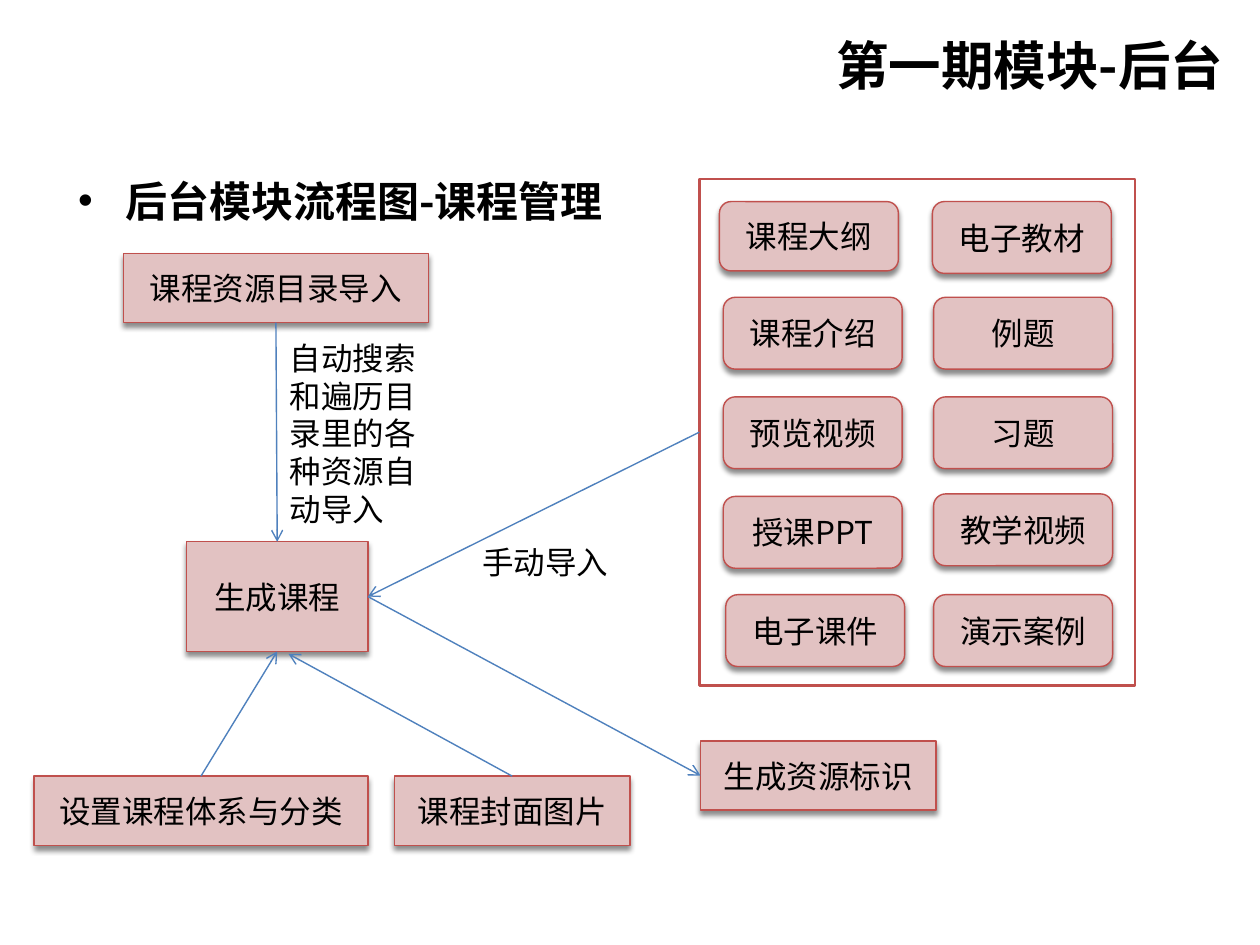
from lxml import etree
from pptx import Presentation
from pptx.dml.color import RGBColor
from pptx.enum import shapes, text
from pptx.oxml import ns
from pptx.util import Inches, Pt

FONT = "Noto Sans CJK SC"
BLACK = RGBColor(0x00, 0x00, 0x00)
WHITE = RGBColor(0xFF, 0xFF, 0xFF)
RED = RGBColor(0xC0, 0x50, 0x4D)
PINK = RGBColor(0xE2, 0xC2, 0xC2)
BLUE = RGBColor(0x4F, 0x81, 0xBD)
THIN = Pt(0.79)

PROCESS = shapes.MSO_SHAPE.FLOWCHART_PROCESS
ROUNDED = shapes.MSO_SHAPE.FLOWCHART_ALTERNATE_PROCESS
TOP, LEFT, BOTTOM, RIGHT = range(4)  # connection sites of a rectangle

# Resource types: label, left, top, height
RESOURCES = [
    ("课程大纲", 5.71, 1.6, 0.55), ("电子教材", 7.4, 1.6, 0.57),
    ("课程介绍", 5.74, 2.36, 0.57), ("例题", 7.41, 2.36, 0.57),
    ("预览视频", 5.74, 3.15, 0.57), ("习题", 7.41, 3.15, 0.57),
    ("授课PPT", 5.74, 3.94, 0.57), ("教学视频", 7.41, 3.92, 0.57),
    ("电子课件", 5.76, 4.72, 0.57), ("演示案例", 7.41, 4.72, 0.57),
]


def add_child(parent, tag, **attributes):
    return etree.SubElement(parent, ns.qn(tag), attributes)


def add_span(para, words, size=18, bold=False):
    span = para.add_run()
    span.text = words
    span.font.size = Pt(size)
    span.font.bold = bold
    span.font.color.rgb = BLACK
    span.font.name = FONT
    add_child(span.font._element, "a:ea", typeface=FONT)


def fill_placeholder(holder, words, size, left, top, width, height):
    holder.left, holder.top = Inches(left), Inches(top)
    holder.width, holder.height = Inches(width), Inches(height)
    frame = holder.text_frame
    frame.auto_size = text.MSO_AUTO_SIZE.NONE
    frame.vertical_anchor = text.MSO_ANCHOR.TOP
    para = frame.paragraphs[0]
    add_span(para, words, size, bold=True)
    return para


def add_panel(page, kind, left, top, width, height, fill, line_width):
    box = page.shapes.add_shape(
        kind, Inches(left), Inches(top), Inches(width), Inches(height))
    box.shadow.inherit = False
    box.fill.solid()
    box.fill.fore_color.rgb = fill
    box.line.color.rgb = RED
    box.line.width = line_width
    return box


def add_step(page, words, left, top, width, height=0.55, kind=PROCESS):
    box = add_panel(page, kind, left, top, width, height, PINK, THIN)
    # Soft shadow falling straight down
    effects = box._element.spPr.find(ns.qn("a:effectLst"))
    shadow = add_child(effects, "a:outerShdw", blurRad=str(Pt(3)),
                       dist=str(Pt(2.4)), dir="5400000", rotWithShape="0")
    color = add_child(shadow, "a:srgbClr", val=str(BLACK))
    add_child(color, "a:alpha", val="45000")

    box.text_frame.word_wrap = True
    box.text_frame.vertical_anchor = text.MSO_ANCHOR.MIDDLE
    para = box.text_frame.paragraphs[0]
    para.alignment = text.PP_ALIGN.CENTER
    add_span(para, words)
    return box


def add_note(page, words, left, top, width, height):
    box = page.shapes.add_textbox(
        Inches(left), Inches(top), Inches(width), Inches(height))
    box.text_frame.word_wrap = True
    box.text_frame.auto_size = text.MSO_AUTO_SIZE.SHAPE_TO_FIT_TEXT
    add_span(box.text_frame.paragraphs[0], words)


def add_arrow(page, source, source_site, target=None, target_site=None, tip=(0, 0)):
    """Arrow from one box to another, or to a free tip when there is no target."""
    arrow = page.shapes.add_connector(
        shapes.MSO_CONNECTOR.STRAIGHT, 0, 0, Inches(tip[0]), Inches(tip[1]))
    arrow.begin_connect(source, source_site)
    if target is not None:
        arrow.end_connect(target, target_site)
    arrow.line.color.rgb = BLUE
    arrow.line.width = THIN
    add_child(arrow.line._get_or_add_ln(), "a:tailEnd", type="arrow")
    add_child(arrow._element.spPr, "a:effectLst")


def main():
    deck = Presentation()
    deck.slide_width, deck.slide_height = Inches(10), Inches(7.5)
    page = deck.slides.add_slide(deck.slide_layouts[1])

    # Title and heading
    title = fill_placeholder(page.shapes.title, "第一期模块-后台", 30,
                             0.75, 0.21, 9.06, 0.76)
    title.alignment = text.PP_ALIGN.RIGHT
    fill_placeholder(page.placeholders[1], "后台模块流程图-课程管理", 24,
                     0.52, 1.34, 5.19, 0.68)

    # Resource panel
    panel = add_panel(page, shapes.MSO_SHAPE.RECTANGLE,
                      5.55, 1.42, 3.46, 4.02, WHITE, Pt(1.5))
    for words, left, top, height in RESOURCES:
        add_step(page, words, left, top, 1.42, height, ROUNDED)

    # Process steps
    directory = add_step(page, "课程资源目录导入", 0.98, 2.01, 2.42)
    course = add_step(page, "生成课程", 1.48, 4.3, 1.44, 0.87)
    cover = add_step(page, "课程封面图片", 3.13, 6.16, 1.87)
    category = add_step(page, "设置课程体系与分类", 0.27, 6.16, 2.65)
    identifier = add_step(page, "生成资源标识", 5.56, 5.88, 1.87)

    # Flow arrows
    add_arrow(page, directory, BOTTOM, course, TOP)
    add_arrow(page, panel, LEFT, course, RIGHT)
    add_arrow(page, category, TOP, course, BOTTOM)
    add_arrow(page, course, RIGHT, identifier, LEFT)
    add_arrow(page, cover, TOP, tip=(2.29, 5.19))

    # Arrow notes
    add_note(page, "手动导入", 3.73, 4.26, 1.4, 0.4)
    add_note(page, "自动搜索和遍历目录里的各种资源自动导入", 2.2, 2.64, 1.4, 1.62)

    deck.save("out.pptx")


if __name__ == "__main__":
    main()
